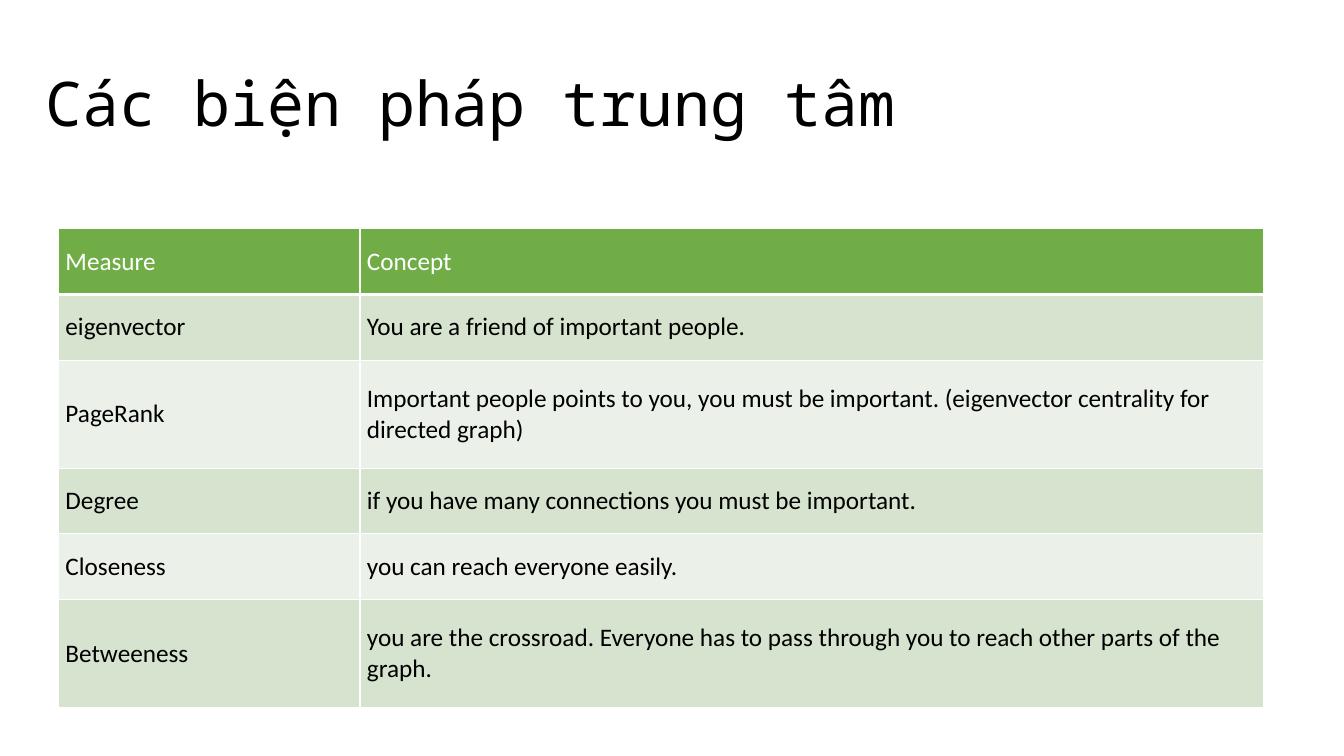
import pptx
import pptx.dml.color
import pptx.enum.text
import pptx.oxml.ns
import pptx.util
from lxml import etree

Inches = pptx.util.Inches
MIDDLE = pptx.enum.text.MSO_ANCHOR.MIDDLE
COLORS = {"text": "000000", "white": "FFFFFF", "header": "70AD47",
          "band_dark": "D5E3CF", "band_light": "EBF1E9"}
MEASURES = [
    ("Measure", "Concept"),
    ("eigenvector", "You are a friend of important people."),
    ("PageRank", "Important people points to you, you must be important. "
                 "(eigenvector centrality for directed graph)"),
    ("Degree", "if you have many connections you must be important."),
    ("Closeness", "you can reach everyone easily."),
    ("Betweeness", "you are the crossroad. Everyone has to pass through you "
                   "to reach other parts of the graph."),
]
COLUMN_WIDTHS = (2.99, 8.96)
ROW_HEIGHTS = (0.65, 0.65, 1.07, 0.65, 0.65, 1.07)


def rgb(name):
    return pptx.dml.color.RGBColor.from_string(COLORS[name])


def write(tf, text, size=18, font="Calibri", color="text", spacing=None):
    p = tf.paragraphs[0]
    p.alignment = pptx.enum.text.PP_ALIGN.LEFT
    p.line_spacing = spacing
    r = p.add_run()
    r.text = text
    r.font.size = pptx.util.Pt(size)
    r.font.name = font
    r.font.bold = False
    r.font.color.rgb = rgb(color)


def add_borders(cell, top=1, bottom=1):
    """Draw white cell edges; widths are in points."""
    tc_pr = cell._tc.get_or_add_tcPr()
    qn = pptx.oxml.ns.qn
    for side, width in (("L", 1), ("R", 1), ("T", top), ("B", bottom)):
        ln = etree.SubElement(tc_pr, qn(f"a:ln{side}"), w=str(pptx.util.Pt(width)))
        fill = etree.SubElement(ln, qn("a:solidFill"))
        etree.SubElement(fill, qn("a:srgbClr"), val=COLORS["white"])


def add_title(slide, text, left, top, width, height):
    sp = slide.shapes.title
    sp.left, sp.top = Inches(left), Inches(top)
    sp.width, sp.height = Inches(width), Inches(height)
    tf = sp.text_frame
    tf.word_wrap = True
    tf.auto_size = pptx.enum.text.MSO_AUTO_SIZE.NONE
    tf.vertical_anchor = MIDDLE
    write(tf, text, size=44, font="Noto Sans Mono", spacing=0.9)


def add_measure_table(slide, left, top, width, height):
    table = slide.shapes.add_table(
        len(MEASURES), len(COLUMN_WIDTHS), Inches(left), Inches(top),
        Inches(width), Inches(height)).table
    # Share the box out in proportion to the column and row sizes
    for column, part in zip(table.columns, COLUMN_WIDTHS):
        column.width = Inches(width * part / sum(COLUMN_WIDTHS))
    for row, part in zip(table.rows, ROW_HEIGHTS):
        row.height = Inches(height * part / sum(ROW_HEIGHTS))
    # Header row, then alternating bands
    for i, texts in enumerate(MEASURES):
        band = "header" if i == 0 else "band_dark" if i % 2 else "band_light"
        for j, text in enumerate(texts):
            cell = table.cell(i, j)
            add_borders(cell, top=3 if i == 1 else 1, bottom=3 if i == 0 else 1)
            cell.fill.solid()
            cell.fill.fore_color.rgb = rgb(band)
            cell.vertical_anchor = MIDDLE
            cell.margin_left = cell.margin_right = Inches(0.07)
            cell.margin_top = cell.margin_bottom = Inches(0.03)
            write(cell.text_frame, text, color="text" if i else "white")


def main():
    prs = pptx.Presentation()
    prs.slide_width, prs.slide_height = Inches(13.33), Inches(7.5)
    slide = prs.slides.add_slide(prs.slide_layouts[5])
    add_title(slide, "Các biện pháp trung tâm", 0.35, 0.23, 9.33, 1.65)
    add_measure_table(slide, 0.58, 2.27, 11.95, 4.75)
    prs.save("out.pptx")


if __name__ == "__main__":
    main()
